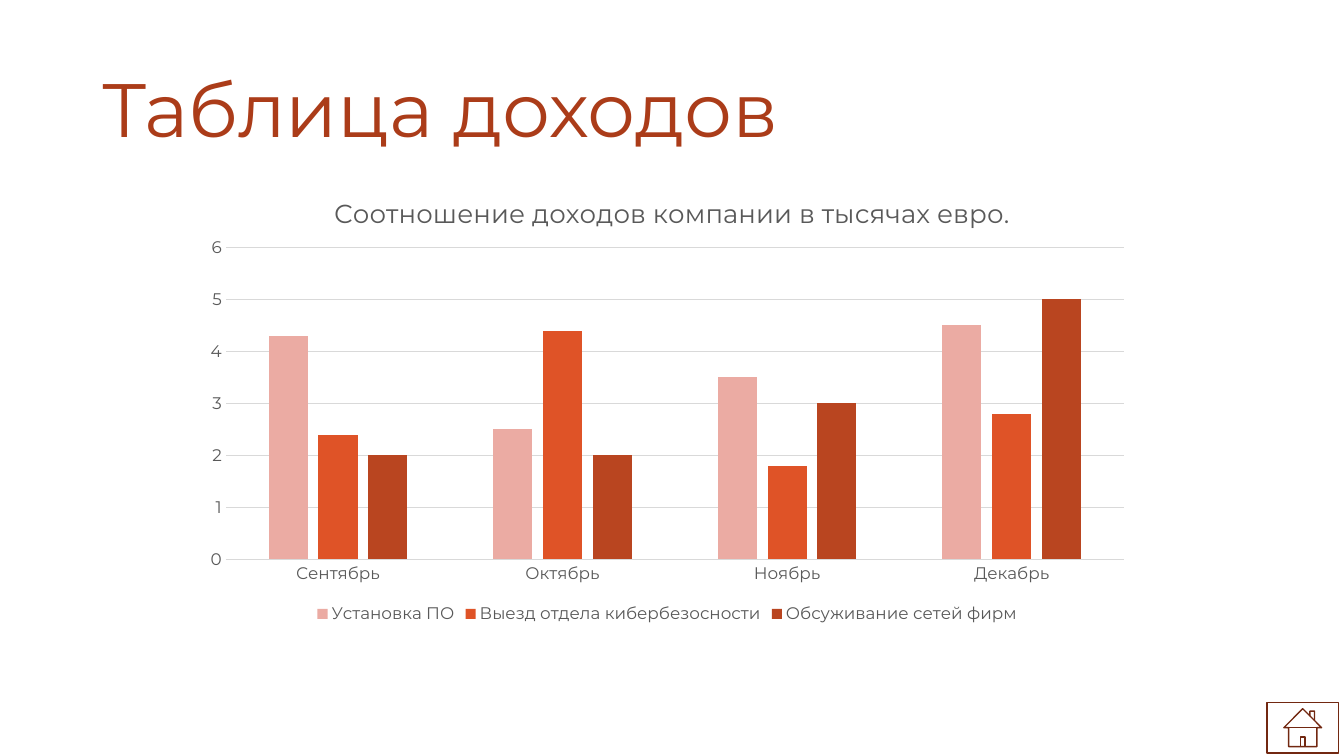
from lxml.etree import SubElement
from pptx import Presentation
from pptx.chart.data import CategoryChartData
from pptx.dml.color import RGBColor
from pptx.enum.chart import XL_CHART_TYPE, XL_LEGEND_POSITION, XL_TICK_MARK
from pptx.enum.shapes import MSO_SHAPE
from pptx.enum.text import MSO_ANCHOR
from pptx.oxml.ns import qn
from pptx.util import Pt

FONT = "Montserrat"
TITLE = RGBColor(0xAB, 0x3C, 0x19)
GRAY = RGBColor(0x59, 0x59, 0x59)
GRID = RGBColor(0xD9, 0xD9, 0xD9)
HOME = RGBColor(0x72, 0x28, 0x11)
PINK = RGBColor(0xEB, 0xAB, 0xA3)
ORANGE = RGBColor(0xDF, 0x53, 0x27)
BRICK = RGBColor(0xB9, 0x45, 0x20)

MONTHS = ["Сентябрь", "Октябрь", "Ноябрь", "Декабрь"]
INCOME = [
    ("Установка ПО", (4.3, 2.5, 3.5, 4.5), PINK),
    ("Выезд отдела кибербезосности", (2.4, 4.4, 1.8, 2.8), ORANGE),
    ("Обсуживание сетей фирм", (2, 2, 3, 5), BRICK),
]


def set_font(font, size, color):
    """Apply the slide typeface with a size and colour."""
    font.name, font.size, font.bold = FONT, Pt(size), False
    font.color.rgb = color


def add_text(p, text, size=12, color=GRAY, spacing=None):
    """Add a formatted run to a paragraph."""
    r = p.add_run()
    r.text = text
    set_font(r.font, size, color)
    if spacing:
        p.line_spacing = spacing


def set_layout(element, index, **fractions):
    """Place a chart part by fractions of the chart area."""
    for old in element.findall(qn("c:layout")):
        element.remove(old)
    layout = SubElement(element, qn("c:layout"))
    element.insert(index, layout)
    manual = SubElement(layout, qn("c:manualLayout"))
    if "w" in fractions:
        SubElement(manual, qn("c:layoutTarget")).set("val", "inner")
    for tag in ("xMode", "yMode"):
        SubElement(manual, qn(f"c:{tag}")).set("val", "edge")
    for tag, value in fractions.items():
        SubElement(manual, qn(f"c:{tag}")).set("val", str(value))


def add_title(slide, left, top, width, height):
    """Write the slide heading."""
    tf = slide.shapes.add_textbox(Pt(left), Pt(top), Pt(width), Pt(height)).text_frame
    tf.word_wrap = True
    tf.vertical_anchor = MSO_ANCHOR.MIDDLE
    add_text(tf.paragraphs[0], "Таблица доходов", size=54, color=TITLE, spacing=0.9)


def add_income_chart(slide, left, top, width, height):
    """Draw the clustered columns of monthly income."""
    data = CategoryChartData()
    data.categories = MONTHS
    for name, values, _ in INCOME:
        data.add_series(name, values)
    chart = slide.shapes.add_chart(XL_CHART_TYPE.COLUMN_CLUSTERED, Pt(left), Pt(top),
                                   Pt(width), Pt(height), data).chart
    set_font(chart.font, 12, GRAY)

    chart.has_title = True
    add_text(chart.chart_title.text_frame.paragraphs[0],
             "Соотношение доходов компании в тысячах евро.", size=18.6)
    chart.chart_title.include_in_layout = False
    set_layout(chart.chart_title._element, 1, x=0.145, y=0.04)

    plot = chart.plots[0]
    plot.gap_width, plot.overlap, plot.vary_by_categories = 219, -27, False
    for series, (_, _, color) in zip(plot.series, INCOME):
        series.format.fill.solid()
        series.format.fill.fore_color.rgb = color
    set_layout(chart._chartSpace.chart.plotArea, 0, x=0.036, y=0.165, w=0.944, h=0.685)

    for axis in (chart.category_axis, chart.value_axis):
        axis.major_tick_mark = axis.minor_tick_mark = XL_TICK_MARK.NONE
        set_font(axis.tick_labels.font, 12, GRAY)
    value_axis = chart.value_axis
    value_axis.minimum_scale, value_axis.maximum_scale, value_axis.major_unit = 0, 6, 1
    value_axis.format.line.fill.background()
    for line in (chart.category_axis.format.line, value_axis.major_gridlines.format.line):
        line.color.rgb = GRID
        line.width = Pt(0.75)

    chart.has_legend = True
    chart.legend.position = XL_LEGEND_POSITION.BOTTOM
    chart.legend.include_in_layout = False
    set_font(chart.legend.font, 12, GRAY)


def add_home_button(slide, left, top, width, height):
    """Draw the outlined home button."""
    sp = slide.shapes.add_shape(MSO_SHAPE.ACTION_BUTTON_HOME, Pt(left), Pt(top),
                                Pt(width), Pt(height))
    sp.shadow.inherit = False
    sp.fill.background()
    sp.line.color.rgb = HOME
    sp.line.width = Pt(1)


def main():
    """Build and save the presentation."""
    prs = Presentation()
    prs.slide_width, prs.slide_height = Pt(960), Pt(540)
    slide = prs.slides.add_slide(prs.slide_layouts[6])
    add_title(slide, 66, 28.75, 828, 104.4)
    add_income_chart(slide, 136.8, 123.1, 679.7, 325.4)
    add_home_button(slide, 905, 501.8, 51.1, 36)
    prs.save("out.pptx")


if __name__ == "__main__":
    main()
